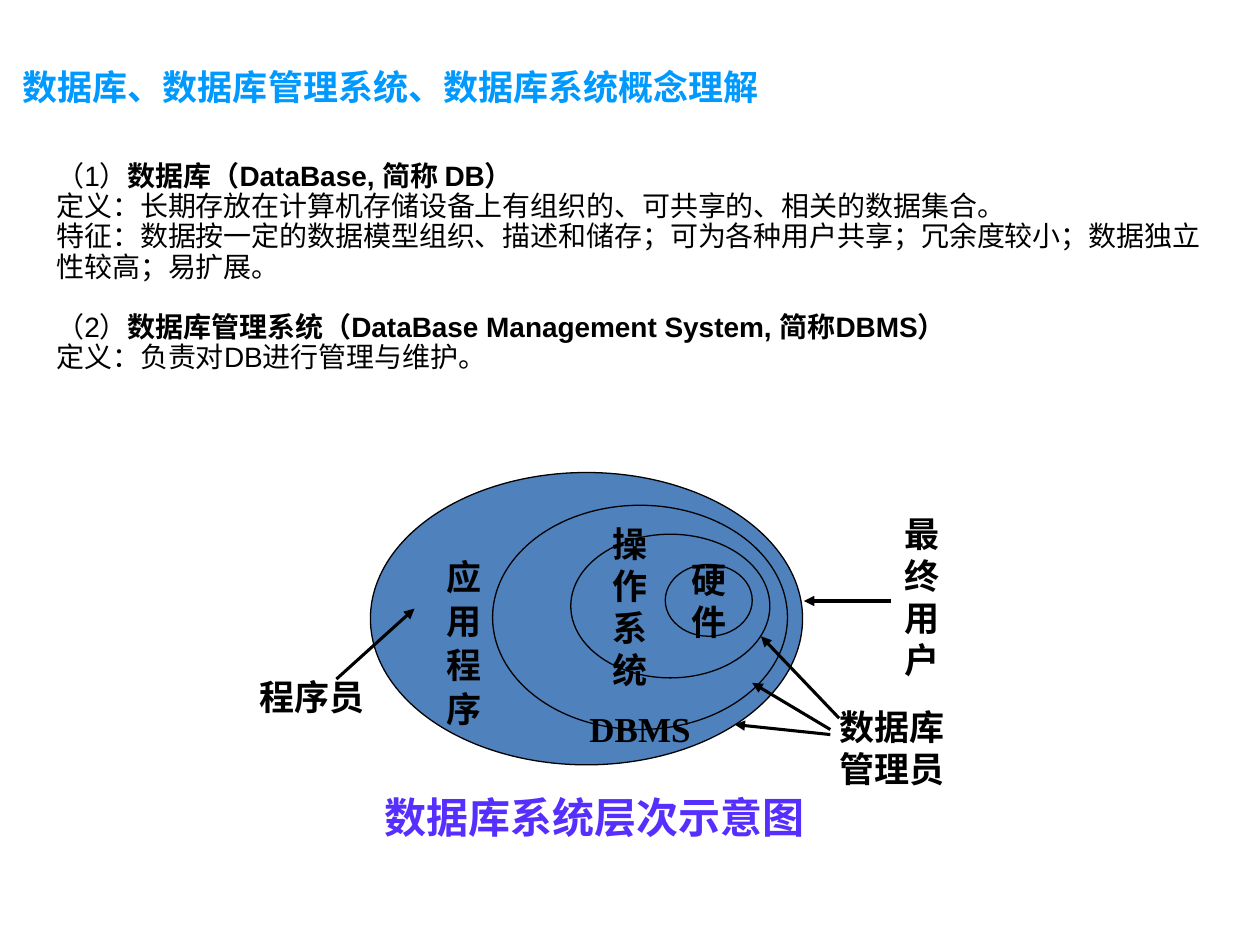
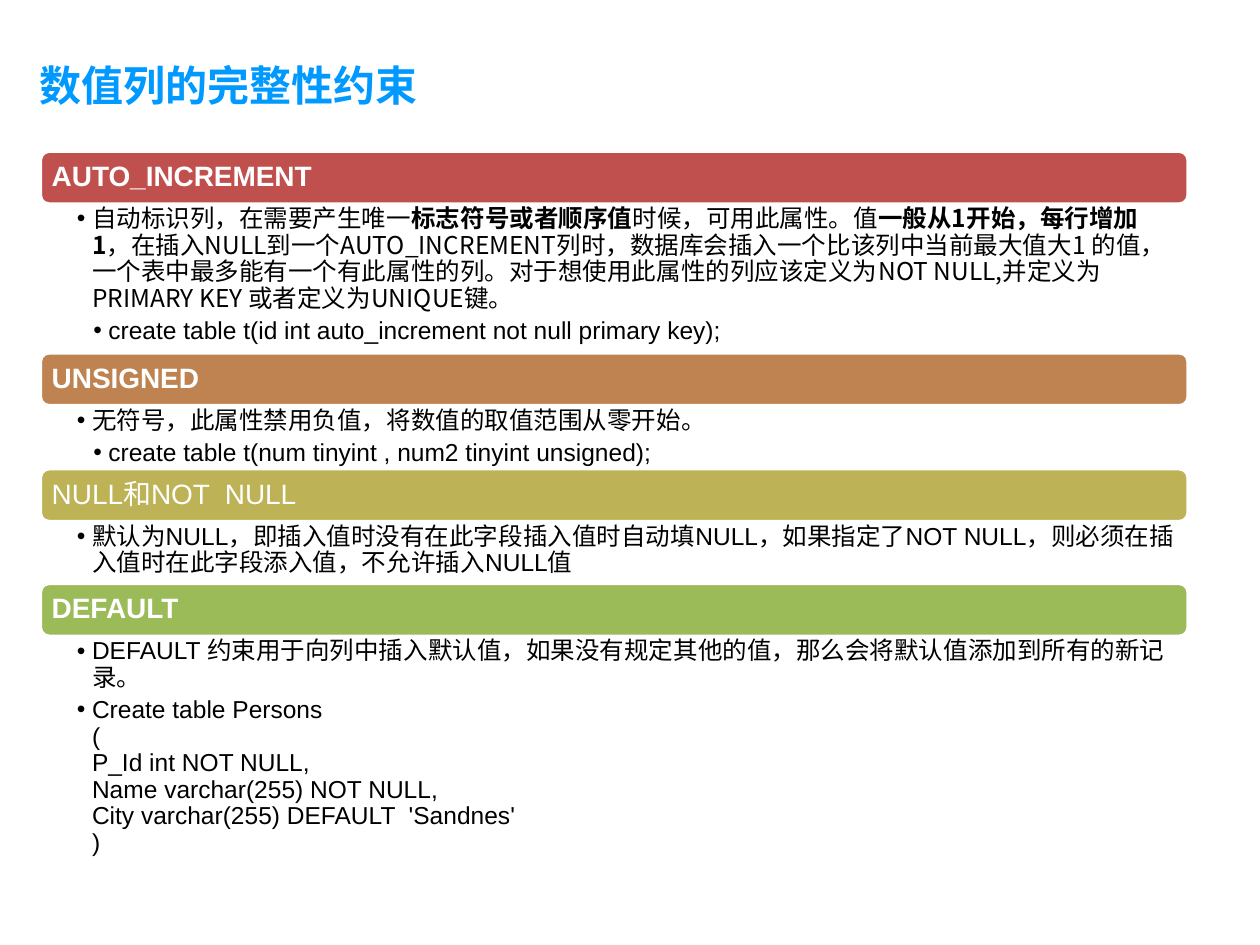
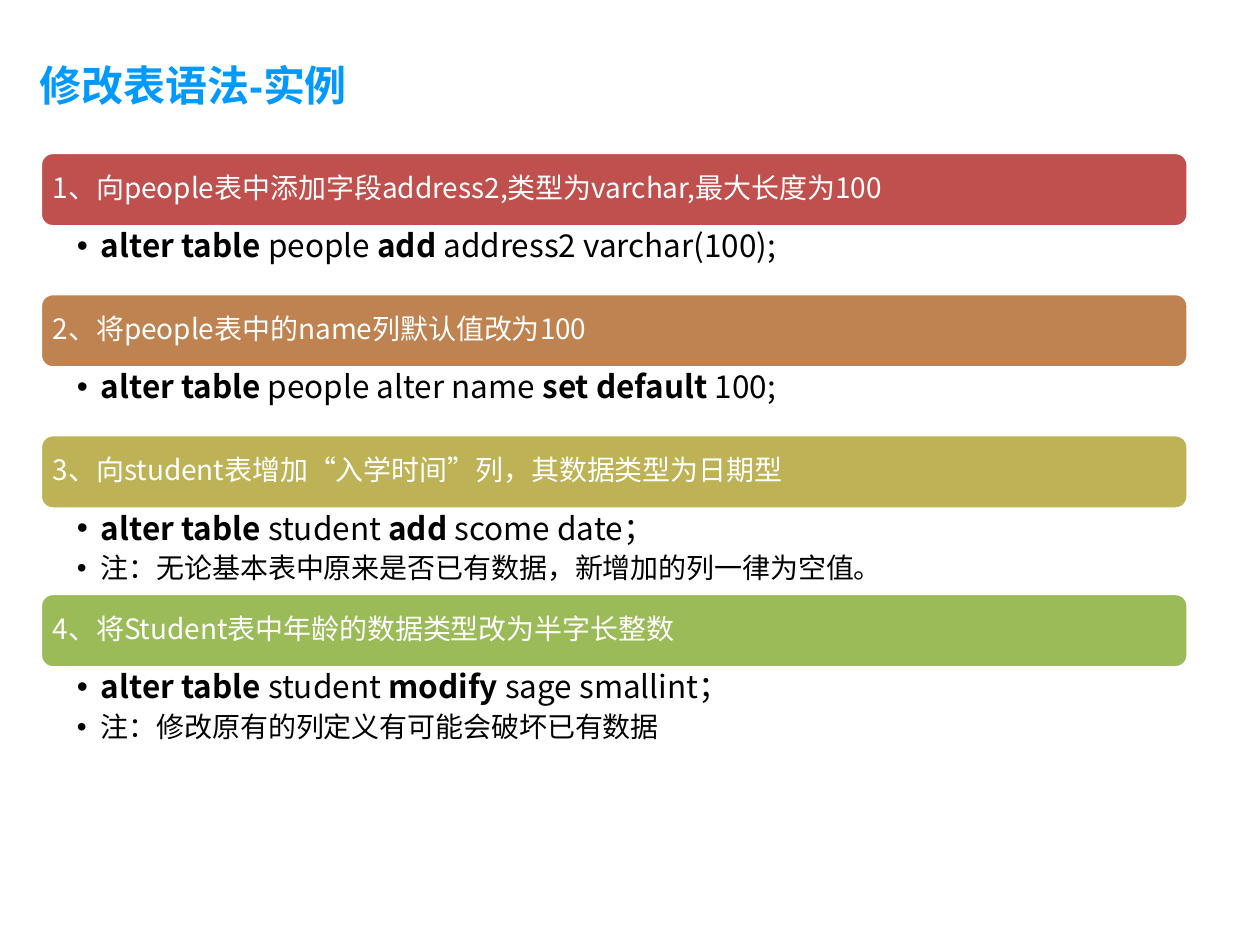
from lxml import etree
from pptx import Presentation
from pptx import util as u
from pptx.dml.color import RGBColor
from pptx.enum import shapes, text
from pptx.oxml.ns import qn

COLORS = {
    "title": "0099FF", "ink": "000000", "white": "FFFFFF",
    "ellipse": "4F81BD", "caption": "562EFE",
}
BAR_COLORS = ["C0504D", "BE8351", "BDB255", "9BBB59"]
SANS, SERIF, CJK = "Arial", "Times New Roman", "Noto Sans CJK SC"
COLS, ROWS = 100, 75
LEFT, CENTER = text.PP_ALIGN.LEFT, text.PP_ALIGN.CENTER
TOP, MIDDLE = text.MSO_ANCHOR.TOP, text.MSO_ANCHOR.MIDDLE


def rgb(value):
    return RGBColor.from_string(COLORS.get(value, value))


def assign(target, values):
    for name, value in values.items():
        setattr(target, name, value)


class Deck:
    """Holds the style and the current slide; lengths are grid columns and rows."""

    def __init__(self):
        self.prs = Presentation()
        self.prs.slide_width, self.prs.slide_height = u.Inches(10), u.Inches(7.5)
        self.col = self.prs.slide_width / COLS
        self.row = self.prs.slide_height / ROWS

    def box(self, x, y, w, h):
        return [round(v * unit) for v, unit in
                zip((x, y, w, h), (self.col, self.row) * 2)]

    def frame(self, tf, anchor=TOP, wrap=True, insets=(1, 0.5, 1, 0.5)):
        """Insets run left, top, right, bottom."""
        sides = ("margin_left", "margin_top", "margin_right", "margin_bottom")
        assign(tf, {"auto_size": text.MSO_AUTO_SIZE.NONE, "word_wrap": wrap,
                    "vertical_anchor": anchor})
        assign(tf, dict(zip(sides, self.box(*insets))))

    def run(self, p, content, font):
        r = p.add_run()
        r.text = content
        assign(r.font, {k: v for k, v in font.items() if k != "color"})
        r.font.color.rgb = rgb(font["color"])
        ea = etree.SubElement(r.font._element, qn("a:ea"))
        ea.set("typeface", CJK)

    def paragraphs(self, tf, lines, size, name=SANS, color="ink", bold=False,
                   bullet=None, **para):
        """A line is a string or (string, overrides); ** switches bold on and off."""
        for i, line in enumerate(lines):
            content, own = line if isinstance(line, tuple) else (line, {})
            style = dict(size=size, name=name, bullet=bullet, **para) | own
            font = {"size": u.Pt(style.pop("size")), "name": style.pop("name"),
                    "color": color}
            indent = style.pop("bullet")
            p = tf.paragraphs[0] if i == 0 else tf.add_paragraph()
            assign(p, {"alignment": LEFT} | style)
            if indent:
                self.bullet(p, *indent)
            for n, part in enumerate(content.split("**")):
                for m, piece in enumerate(part.split("\n")):
                    if m:
                        p.add_line_break()
                    if piece:
                        self.run(p, piece, font | {"bold": bold or n % 2 == 1})

    def bullet(self, p, margin, hang):
        p_pr = p._p.get_or_add_pPr()
        p_pr.set("marL", str(round(margin * self.col)))
        p_pr.set("indent", str(round(-hang * self.col)))
        etree.SubElement(p_pr, qn("a:buFont")).set("typeface", SANS)
        etree.SubElement(p_pr, qn("a:buChar")).set("char", "•")

    def slide(self, title, at=(2.1, 2.2, 42, 5.5), size=24):
        self.s = self.prs.slides.add_slide(self.prs.slide_layouts[5])
        sp = self.s.shapes.title
        assign(sp, dict(zip(("left", "top", "width", "height"), self.box(*at))))
        self.frame(sp.text_frame)
        self.paragraphs(sp.text_frame, [title], size, color="title", bold=True,
                        line_spacing=1.5)

    def text(self, at, lines, size, frame=None, **style):
        tf = self.s.shapes.add_textbox(*self.box(*at)).text_frame
        self.frame(tf, **(frame or {}))
        self.paragraphs(tf, lines, size, **style)

    def shape(self, kind, at, fill, line, width):
        sp = self.s.shapes.add_shape(kind, *self.box(*at))
        sp.shadow.inherit = False
        sp.fill.solid()
        sp.fill.fore_color.rgb = rgb(fill)
        sp.line.color.rgb = rgb(line)
        sp.line.width = u.Pt(width)
        return sp

    def label(self, at, lines, size=20, color="ink"):
        self.text(at, lines, size, frame={"anchor": MIDDLE, "wrap": False},
                  name=SERIF, color=color, bold=True, alignment=CENTER)

    def ellipse(self, at, characters="", insets=(1, 0.5, 1, 0.5), **style):
        sp = self.shape(shapes.MSO_SHAPE.OVAL, at, "ellipse", "ink", 0.75)
        self.frame(sp.text_frame, MIDDLE, False, insets)
        self.paragraphs(sp.text_frame, characters, 20, name=SERIF, bold=True, **style)

    def arrow(self, start, end):
        c = self.s.shapes.add_connector(shapes.MSO_CONNECTOR.STRAIGHT,
                                        *self.box(*start, *end))
        c.line.color.rgb = rgb("ink")
        c.line.width = u.Pt(1.75)
        etree.SubElement(c.line._get_or_add_ln(), qn("a:tailEnd")).set("type", "triangle")
        etree.SubElement(c._element.spPr, qn("a:effectLst"))

    def sections(self, items, top, bar_height, bar_font, size, font, insets, indent):
        """Stack coloured bars, each followed by its bulleted text."""
        left, width = 3.2, 91.1
        for color, (heading, height, lines) in zip(BAR_COLORS, items):
            bar = self.shape(shapes.MSO_SHAPE.ROUNDED_RECTANGLE,
                             (left, top, width, bar_height), color, "white", 2)
            self.frame(bar.text_frame, MIDDLE, insets=(0.7,) * 4)
            self.paragraphs(bar.text_frame, [heading], 16, name=bar_font,
                            color="white", line_spacing=0.9)
            top += bar_height
            self.text((left, top, width, height), lines, size,
                      frame={"insets": insets}, name=font, line_spacing=0.9,
                      space_after=u.Pt(size * 0.24), level=1,
                      bullet=(indent, indent))
            top += height


def concepts(d):
    d.slide("数据库、数据库管理系统、数据库系统概念理解", (0.8, 3, 61.3, 6.1), 20)
    d.text((3.5, 12.4, 92.9, 18), [
        "（1）**数据库（DataBase, 简称 DB）",
        "定义：长期存放在计算机存储设备上有组织的、可共享的、相关的数据集合。",
        "特征：数据按一定的数据模型组织、描述和储存；可为各种用户共享；冗余度较小；数据独立性较高；易扩展。",
        ("（2）**数据库管理系统（DataBase Management System, 简称DBMS）",
         {"space_before": u.Pt(17.3)}),
        "定义：负责对DB进行管理与维护。",
    ], 16, line_spacing=0.9)

    d.label((26.7, 63, 41, 3.6), ["数据库系统层次示意图"], 24, "caption")
    d.ellipse((29.4, 37.5, 34.3, 23.2), "应用程序", (1, 3.6, 1, 0), line_spacing=1.05)
    d.ellipse((39.1, 40.1, 23.4, 17.8))
    d.ellipse((45.3, 42.4, 15.8, 11.4), "操作系统")
    d.ellipse((52.8, 44.8, 6.9, 5.7), "硬件", alignment=CENTER)
    d.label((45.8, 55.9, 10, 3.8), ["DBMS"])
    d.label((68.2, 42.5, 9.9, 9.7), "最终用户")
    d.label((64.8, 54.5, 12, 9.6), ["数据库", "管理员"])
    d.label((18.5, 52.2, 12.5, 6.2), ["程序员"])

    for start, end in [
        ((70.7, 47.7), (63.8, 47.7)),
        ((26.7, 53.9), (32.9, 48.3)),
        ((66.6, 57), (60.4, 50.5)),
        ((65.9, 57.9), (59.7, 54.2)),
        ((65.9, 58.3), (58.3, 57.5)),
    ]:
        d.arrow(start, end)


def constraints(d):
    d.slide("数值列的完整性约束")
    code = {"name": SANS, "level": 2, "bullet": (2.5, 1.2)}
    noto = {"name": CJK}
    d.sections([
        ("**AUTO_INCREMENT", 11.8, [
            ("自动标识列，在需要产生唯一**标志符号或者顺序值**时候，可用此属性。值"
             "**一般从1开始，每行增加1**，在插入NULL到一个AUTO_INCREMENT列时，"
             "数据库会插入一个比该列中当前最大值大1 的值，一个表中最多能有一个有此属性的列。"
             "对于想使用此属性的列应该定义为NOT NULL,并定义为PRIMARY KEY 或者定义为UNIQUE键。",
             noto),
            ("create table t(id int auto_increment not null primary key);", code)]),
        ("**UNSIGNED", 5, [
            ("无符号，此属性禁用负值，将数值的取值范围从零开始。", noto),
            ("create table t(num tinyint , num2 tinyint unsigned);", code)]),
        ("NULL和NOT  NULL", 4.9, [
            "默认为NULL，即插入值时没有在此字段插入值时自动填NULL，如果指定了NOT NULL，"
            "则必须在插入值时在此字段添入值，不允许插入NULL值"]),
        ("**DEFAULT", 17.4, [
            "DEFAULT 约束用于向列中插入默认值，如果没有规定其他的值，那么会将默认值添加到所有的新记录。",
            "Create table Persons\n(\nP_Id int NOT NULL,\nName varchar(255) NOT NULL,\n"
            "City varchar(255) DEFAULT  'Sandnes'\n)"]),
    ], top=12, bar_height=4.2, bar_font=SANS, size=14, font=SANS,
        insets=(2.9, 0.2, 1.1, 0.2), indent=1.2)


def alter_examples(d):
    d.slide("修改表语法-实例")
    note = {"size": 16}
    d.sections([
        ("1、向people表中添加字段address2,类型为varchar,最大长度为100", 5.3,
         ["**alter table **people **add** address2 varchar(100);"]),
        ("2、将people表中的name列默认值改为100", 5.3,
         ["**alter table** people alter name **set default **100;"]),
        ("3、向student表增加“入学时间”列，其数据类型为日期型", 6.7,
         ["**alter table **student **add **scome date；",
          ("注：无论基本表中原来是否已有数据，新增加的列一律为空值。", note)]),
        ("4、将Student表中年龄的数据类型改为半字长整数", 6.7,
         ["**alter table **student **modify** sage smallint；",
          ("注：修改原有的列定义有可能会破坏已有数据", note)]),
    ], top=12.1, bar_height=5.9, bar_font=CJK, size=18, font=CJK,
        insets=(2.9, 0.3, 1.4, 0.3), indent=1.9)


def main():
    d = Deck()
    for build in (concepts, constraints, alter_examples):
        build(d)
    d.prs.save("out.pptx")


if __name__ == "__main__":
    main()
